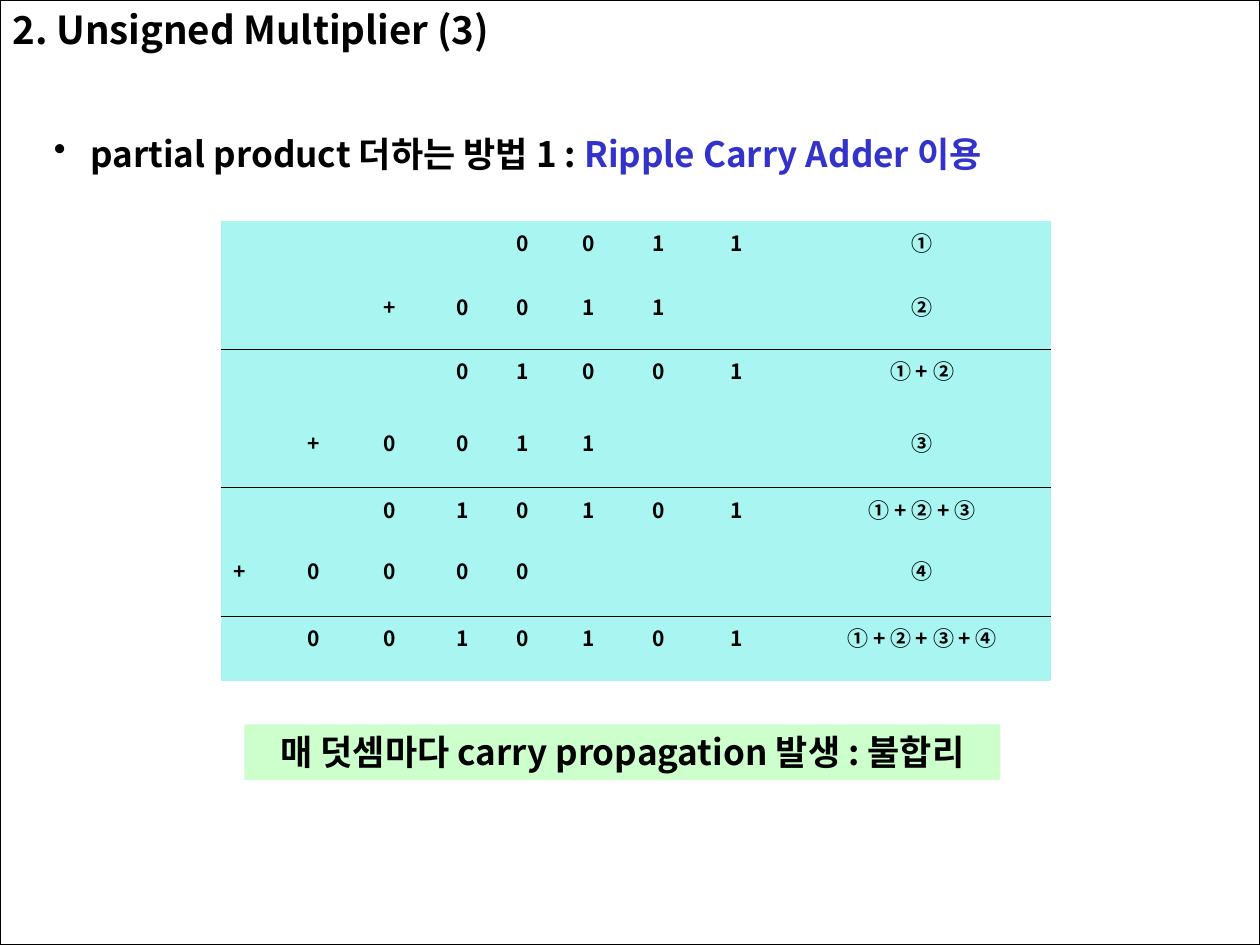
"""Build the slide on adding partial products with ripple carry adders."""
from typing import NamedTuple

from lxml import etree
from pptx import Presentation
from pptx.dml.color import RGBColor
from pptx.enum.shapes import MSO_SHAPE
from pptx.enum.text import MSO_ANCHOR, PP_ALIGN
from pptx.oxml.ns import qn
from pptx.util import Inches, Pt

RECTANGLE = MSO_SHAPE.RECTANGLE
TOP = MSO_ANCHOR.TOP
LEFT, CENTER = PP_ALIGN.LEFT, PP_ALIGN.CENTER

FONT = "Noto Sans CJK KR"
COLORS = {
    "text": "000000",
    "accent": "3333CC",
    "table": "A9F5F1",
    "note": "CCFFCC",
}
COLUMN_WIDTHS = (0.59, 0.6, 0.58, 0.48, 0.52, 0.56, 0.62, 0.6, 2.04)
RULE_WIDTH = 0.45


class Box(NamedTuple):
    """Position and size in inches."""

    left: float
    top: float
    width: float
    height: float

    def lengths(self) -> list:
        """Return the four values as lengths."""
        return [Inches(value) for value in self]


class SumRow(NamedTuple):
    """One row of the addition, with digits starting at a column."""

    height: float
    start: int
    digits: str
    label: str
    is_sum: bool = False


ROWS = (
    SumRow(0.51, 4, "0011", "①"),
    SumRow(0.51, 2, "+0011", "②"),
    SumRow(0.57, 3, "01001", "① + ②", True),
    SumRow(0.53, 1, "+0011", "③"),
    SumRow(0.49, 2, "010101", "① + ② + ③", True),
    SumRow(0.53, 0, "+0000", "④"),
    SumRow(0.52, 1, "0010101", "① + ② + ③ + ④", True),
)


def rgb(name: str) -> RGBColor:
    """Look up a named colour."""
    return RGBColor.from_string(COLORS[name])


def style_paragraph(paragraph, size: float, before: float = 0, alignment=LEFT) -> None:
    """Set the bold text style, spacing and alignment of a paragraph."""
    paragraph.alignment = alignment
    paragraph.space_before = Pt(before)
    font = paragraph.font
    font.name, font.size, font.bold = FONT, Pt(size), True
    font.color.rgb = rgb("text")
    properties = paragraph._p.get_or_add_pPr().find(qn("a:defRPr"))
    etree.SubElement(properties, qn("a:ea"), typeface=FONT)


def add_text(slide, box: Box, text: str, size: float, before: float = 0):
    """Add a text box and return its paragraph."""
    frame = slide.shapes.add_textbox(*box.lengths()).text_frame
    frame.word_wrap = True
    paragraph = frame.paragraphs[0]
    paragraph.add_run().text = text
    style_paragraph(paragraph, size, before)
    return paragraph


def add_bullet(paragraph, indent: float) -> None:
    """Give a paragraph a round bullet with a hanging indent."""
    properties = paragraph._p.get_or_add_pPr()
    properties.set("marL", str(Inches(indent)))
    properties.set("indent", str(-Inches(indent)))
    bullet = etree.Element(qn("a:buChar"), char="•")
    properties.find(qn("a:defRPr")).addprevious(bullet)


def add_rectangle(slide, box: Box):
    """Add a rectangle without a shadow."""
    shape = slide.shapes.add_shape(RECTANGLE, *box.lengths())
    shape.shadow.inherit = False
    return shape


def set_borders(cell, ruled_sides: str) -> None:
    """Draw thin rules on the given sides and clear the others."""
    properties = cell._tc.get_or_add_tcPr()
    for side in "LRTB":
        line = etree.SubElement(properties, qn(f"a:ln{side}"), w=str(Pt(RULE_WIDTH)))
        if side in ruled_sides:
            fill = etree.SubElement(line, qn("a:solidFill"))
            etree.SubElement(fill, qn("a:srgbClr"), val=COLORS["text"])
        else:
            etree.SubElement(line, qn("a:noFill"))


def add_sum_table(slide, box: Box) -> None:
    """Add the table of partial products and running sums."""
    shape = slide.shapes.add_table(len(ROWS), len(COLUMN_WIDTHS), *box.lengths())
    table = shape.table
    table.first_row = table.horz_banding = False
    for column, width in zip(table.columns, COLUMN_WIDTHS):
        column.width = Inches(width)
    label_column = len(COLUMN_WIDTHS) - 1
    for row_index, row in enumerate(ROWS):
        table.rows[row_index].height = Inches(row.height)
        texts = dict(enumerate(row.digits, row.start))
        texts[label_column] = row.label
        next_is_sum = row_index + 1 < len(ROWS) and ROWS[row_index + 1].is_sum
        ruled_sides = "T" * row.is_sum + "B" * next_is_sum
        for column_index in range(len(COLUMN_WIDTHS)):
            cell = table.cell(row_index, column_index)
            cell.text = texts.get(column_index, "")
            alignment = CENTER if column_index == label_column else LEFT
            style_paragraph(cell.text_frame.paragraphs[0], 12, 3, alignment)
            set_borders(cell, ruled_sides)
            cell.fill.solid()
            cell.fill.fore_color.rgb = rgb("table")


def add_note(slide, box: Box, text: str) -> None:
    """Add the filled conclusion under the table."""
    shape = add_rectangle(slide, box)
    shape.fill.solid()
    shape.fill.fore_color.rgb = rgb("note")
    shape.line.fill.background()
    frame = shape.text_frame
    frame.word_wrap = True
    frame.vertical_anchor = TOP
    frame.text = text
    style_paragraph(frame.paragraphs[0], 20, 12.5, CENTER)


def main() -> None:
    """Create and save the presentation."""
    presentation = Presentation()
    presentation.slide_width, presentation.slide_height = Inches(10), Inches(7.5)
    slide = presentation.slides.add_slide(presentation.slide_layouts[6])

    border = add_rectangle(slide, Box(0, 0, 10, 7.5))
    border.fill.background()
    border.line.color.rgb = rgb("text")
    border.line.width = Pt(0.75)

    add_text(slide, Box(0, 0, 5.29, 0.47), "2. Unsigned Multiplier (3)", 22)
    method = add_text(
        slide, Box(0.33, 1, 9.08, 0.44), "partial product 더하는 방법 1 : ", 20, 12.5
    )
    add_bullet(method, 0.29)
    adder = method.add_run()
    adder.text = "Ripple Carry Adder 이용"
    adder.font.color.rgb = rgb("accent")

    add_sum_table(slide, Box(1.75, 1.75, 6.58, 3.67))
    add_note(
        slide, Box(1.94, 5.75, 6, 0.44), "매 덧셈마다 carry propagation 발생 : 불합리"
    )
    presentation.save("out.pptx")


if __name__ == "__main__":
    main()
